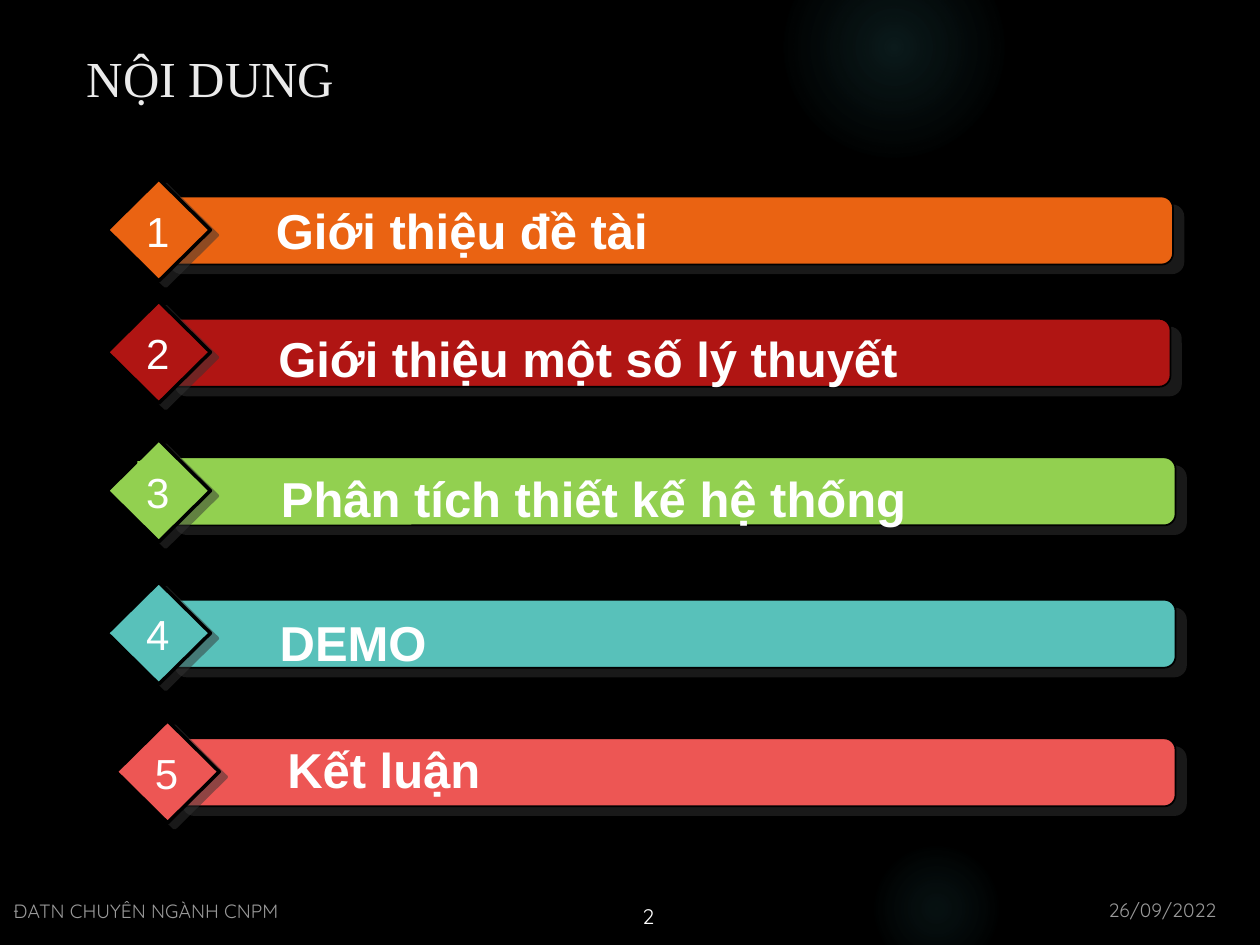
from lxml.etree import SubElement
from pptx import Presentation
from pptx.dml.color import RGBColor
from pptx.enum.shapes import MSO_SHAPE as SHAPE
from pptx.enum.text import MSO_ANCHOR as ANCHOR, MSO_AUTO_SIZE as AUTO_SIZE, PP_ALIGN as ALIGN
from pptx.oxml import parse_xml
from pptx.oxml.ns import nsdecls, qn
from pptx.util import Inches, Pt

BLACK = RGBColor(0x00, 0x00, 0x00)
WHITE = RGBColor(0xFF, 0xFF, 0xFF)
TITLE_GREY = RGBColor(0xEB, 0xEB, 0xEB)
SHADOW_GREY = RGBColor(0x33, 0x33, 0x33)
GLOW_TEAL = RGBColor(0x50, 0xB9, 0xC1)
ORANGE = RGBColor(0xEA, 0x63, 0x12)
RED = RGBColor(0xB0, 0x15, 0x13)
GREEN = RGBColor(0x92, 0xD0, 0x50)
TEAL = RGBColor(0x58, 0xC1, 0xBA)
CORAL = RGBColor(0xED, 0x56, 0x54)

presentation = Presentation()
presentation.slide_width, presentation.slide_height = Inches(10), Inches(7.5)
slide = presentation.slides.add_slide(presentation.slide_layouts[6])
slide.background.fill.solid()
slide.background.fill.fore_color.rgb = BLACK

# Grid of 100 columns by 75 rows
COLUMN = presentation.slide_width / 100
ROW = presentation.slide_height / 75


def add_box(shapes, kind, left, top, width, height, fill=None):
    """Add a preset shape, or a text box when kind is None, in grid units."""
    area = [round(value) for value in (left * COLUMN, top * ROW, width * COLUMN, height * ROW)]
    shape = shapes.add_shape(kind, *area) if kind else shapes.add_textbox(*area)
    if kind:
        shape.shadow.inherit = False
        shape.line.fill.background()
    if fill is not None:
        shape.fill.solid()
        shape.fill.fore_color.rgb = fill
    return shape


def write(shape, text, font, color, frame_format, align=ALIGN.LEFT):
    """Put one formatted paragraph in a shape and return it."""
    frame = shape.text_frame
    for name, value in ({"word_wrap": True} | frame_format).items():
        setattr(frame, name, value)
    paragraph = frame.paragraphs[0]
    paragraph.alignment = align
    run = paragraph.add_run()
    run.text = text
    for name, value in font.items():
        setattr(run.font, name, value)
    run.font.color.rgb = color
    return paragraph


# Background glows: left, top, size, then (position, opacity) stops
GLOWS = [
    (62.2, -5, 17.5, [(0, 14), (36, 7), (73, 0)]),
    (68.9, 66.7, 10.8, [(0, 9), (36, 5), (66, 0)]),
]
for left, top, size, stops in GLOWS:
    glow = add_box(slide.shapes, SHAPE.OVAL, left, top, size, size)
    glow.fill.background()
    stop_xml = "".join(
        f'<a:gs pos="{position * 1000}"><a:srgbClr val="{GLOW_TEAL}">'
        f'<a:alpha val="{opacity * 1000}"/></a:srgbClr></a:gs>'
        for position, opacity in stops
    )
    gradient = parse_xml(
        f'<a:gradFill {nsdecls("a")} rotWithShape="1"><a:gsLst>{stop_xml}</a:gsLst>'
        '<a:path path="circle"><a:fillToRect l="50000" t="50000" r="50000" b="50000"/>'
        "</a:path></a:gradFill>"
    )
    properties = glow._element.spPr
    properties.replace(properties.find(qn("a:noFill")), gradient)

# Title
write(add_box(slide.shapes, None, 5.9, 3, 80.9, 6.2), "NỘI DUNG",
      {"size": Pt(28.8), "name": "Times New Roman"}, TITLE_GREY,
      {"vertical_anchor": ANCHOR.MIDDLE})

# Agenda: label, colour, bar (left, top, width), badge left,
# label box (left, top, width), indent, fill behind the number
ITEMS = [
    ("Giới thiệu đề tài", ORANGE, (12.7, 15.6, 80.4), 8.5, (7.5, 15.5, 92.5), 13.7, None),
    ("Giới thiệu một số lý thuyết", RED, (13.1, 25.3, 79.8), 8.5, (15.8, 25.7, 78.3), 5.6, None),
    ("Phân tích thiết kế hệ thống", GREEN, (13.1, 36.3, 80.2), 8.5, (16, 36.8, 77.1), 5.6, GREEN),
    ("DEMO", TEAL, (13.1, 47.6, 80.2), 8.5, (15.9, 48.2, 77.1), 5.6, None),
    ("Kết luận", CORAL, (13.7, 58.6, 79.6), 9.2, (16.5, 58.3, 76.5), 5.6, None),
]
LABEL_FONT = {"size": Pt(28), "name": "Arial", "bold": True}
NUMBER_FONT = {"size": Pt(24), "name": "Arial", "bold": False}
ITEM_FRAME = {
    "margin_left": Inches(0.07), "margin_right": Inches(0.07),
    "margin_top": Inches(0.04), "margin_bottom": Inches(0.04),
    "vertical_anchor": ANCHOR.TOP, "auto_size": AUTO_SIZE.SHAPE_TO_FIT_TEXT,
}

for number, (label, color, bar_area, badge_left, label_area, indent, backing) in enumerate(ITEMS, 1):
    group = slide.shapes.add_group_shape().shapes
    badge_top = bar_area[1] - 1.4
    bar = add_box(group, SHAPE.ROUNDED_RECTANGLE, *bar_area, 5.4, color)
    bar.adjustments[0] = 0.167
    badge = add_box(group, SHAPE.DIAMOND, badge_left, badge_top, 8.2, 8.1, color)

    # Outline and hard offset shadow
    for shape, line_width, distance, angle in ((bar, 1, 7.8, 40), (badge, 2, 5, 37)):
        shape.line.color.rgb = BLACK
        shape.line.width = Pt(line_width)
        effects = shape._element.spPr.find(qn("a:effectLst"))
        shadow = SubElement(effects, qn("a:outerShdw"), blurRad="0", dist=str(Pt(distance)),
                            dir=str(angle * 60000), algn="ctr", rotWithShape="0")
        shadow_color = SubElement(shadow, qn("a:srgbClr"), val=str(SHADOW_GREY))
        SubElement(shadow_color, qn("a:alpha"), val="50000")

    label_box = add_box(group, None, *label_area, 5.5)
    paragraph = write(label_box, label, LABEL_FONT, WHITE, ITEM_FRAME, ALIGN.JUSTIFY)
    paragraph._p.get_or_add_pPr().set("marL", str(round(indent * COLUMN)))

    number_box = add_box(group, SHAPE.RECTANGLE if backing else None,
                         badge_left + 2.4, badge_top + 1.7, 3.2, 4.5, backing)
    write(number_box, str(number), NUMBER_FONT, WHITE,
          ITEM_FRAME | {"word_wrap": False}, ALIGN.CENTER)

# Footer: text, area, size, anchor, opacity
FOOTER = [
    ("26/09/2022", (87, 70.8, 12.4, 2.9), 11, ANCHOR.TOP, 60),
    ("ĐATN CHUYÊN NGÀNH CNPM", (0.1, 71.2, 42.2, 2.5), 11, ANCHOR.BOTTOM, 60),
    ("2", (50, 71.2, 5.6, 2.9), 12, ANCHOR.TOP, 100),
]
for text, area, size, anchor, opacity in FOOTER:
    paragraph = write(add_box(slide.shapes, None, *area), text,
                      {"size": Pt(size), "name": "Quicksand"}, WHITE,
                      {"vertical_anchor": anchor})
    if opacity < 100:
        text_color = paragraph._p.find(".//" + qn("a:srgbClr"))
        SubElement(text_color, qn("a:alpha"), val=str(opacity * 1000))

presentation.save("out.pptx")
